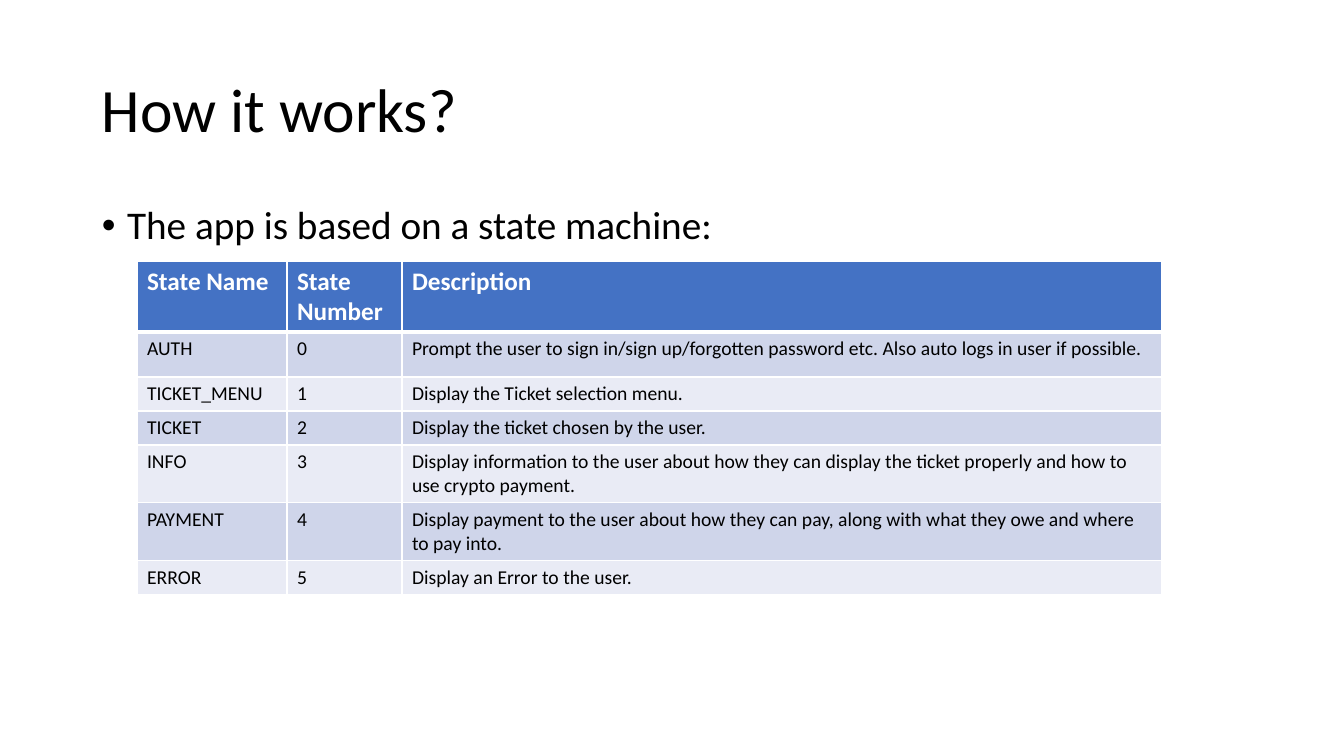
from lxml import etree
from pptx import Presentation
from pptx.dml.color import RGBColor
from pptx.enum.text import MSO_ANCHOR
from pptx.oxml.ns import qn
from pptx.util import Emu, Pt

EMU_PER_PX = 914400 / 100.8
FONT = "Calibri"
BLACK = RGBColor(0x00, 0x00, 0x00)
WHITE = RGBColor(0xFF, 0xFF, 0xFF)
HEADER_BLUE = RGBColor(0x44, 0x72, 0xC4)
BANDS = (RGBColor(0xCF, 0xD5, 0xEA), RGBColor(0xE9, 0xEB, 0xF5))

HEADINGS = ("State Name", "State Number", "Description")
STATES = (
    ("AUTH", "Prompt the user to sign in/sign up/forgotten password etc. "
             "Also auto logs in user if possible."),
    ("TICKET_MENU", "Display the Ticket selection menu."),
    ("TICKET", "Display the ticket chosen by the user."),
    ("INFO", "Display information to the user about how they can display "
             "the ticket properly and how to use crypto payment."),
    ("PAYMENT", "Display payment to the user about how they can pay, along "
                "with what they owe and where to pay into."),
    ("ERROR", "Display an Error to the user."),
)
COLUMN_WIDTHS = (150, 115, 760)
ROW_HEIGHTS = (71, 45, 34, 34, 58, 58, 34)


def px(length):
    """Turn pixels into EMU."""
    return Emu(round(length * EMU_PER_PX))


class SlideBuilder:
    """Holds the style and the current slide."""

    def __init__(self, slide, font=FONT):
        """Keep the slide and its font."""
        self.slide = slide
        self.font = font

    def styled_run(self, frame, text, size, color, bold=False):
        """Put one styled run into a text frame and return its paragraph."""
        paragraph = frame.paragraphs[0]
        run = paragraph.add_run()
        run.text = text
        run.font.name = self.font
        run.font.size = Pt(size)
        run.font.bold = bold
        run.font.color.rgb = color
        return paragraph

    def text(self, box, text, size, anchor=MSO_ANCHOR.TOP):
        """Add a wrapped text box and return its paragraph."""
        frame = self.slide.shapes.add_textbox(*map(px, box)).text_frame
        frame.word_wrap = True
        frame.vertical_anchor = anchor
        paragraph = self.styled_run(frame, text, size, BLACK)
        paragraph.line_spacing = 0.9
        return paragraph

    def bullet(self, box, text, size):
        """Add a text box with one bulleted paragraph."""
        paragraph = self.text(box, text, size)
        paragraph.space_before = Pt(10)
        properties = paragraph._p.get_or_add_pPr()
        properties.set("marL", "228600")
        properties.set("indent", "-228600")
        etree.SubElement(properties, qn("a:buFont")).set("typeface", "Arial")
        etree.SubElement(properties, qn("a:buChar")).set("char", "•")

    def borders(self, cell, top, bottom):
        """Draw white cell borders, with top and bottom widths in points."""
        properties = cell._tc.get_or_add_tcPr()
        widths = {"L": 1, "R": 1, "T": top, "B": bottom}
        for index, (side, width) in enumerate(widths.items()):
            line = etree.Element(qn(f"a:ln{side}"), w=str(int(Pt(width))))
            fill = etree.SubElement(line, qn("a:solidFill"))
            etree.SubElement(fill, qn("a:srgbClr")).set("val", str(WHITE))
            properties.insert(index, line)

    def table(self, left, top, widths, heights, rows):
        """Add a table with a header row and banded body rows."""
        box = (left, top, sum(widths), sum(heights))
        table = self.slide.shapes.add_table(
            len(rows), len(widths), *map(px, box)).table
        for column, width in zip(table.columns, widths):
            column.width = px(width)
        for r, (values, height) in enumerate(zip(rows, heights)):
            table.rows[r].height = px(height)
            header = r == 0
            for c, value in enumerate(values):
                cell = table.cell(r, c)
                cell.fill.solid()
                cell.fill.fore_color.rgb = (
                    HEADER_BLUE if header else BANDS[(r - 1) % 2])
                self.borders(cell, 3 if r == 1 else 1, 3 if header else 1)
                self.styled_run(cell.text_frame, value, 18 if header else 14,
                                WHITE if header else BLACK, header)


def main():
    """Build and save the state machine slide."""
    deck = Presentation()
    deck.slide_width, deck.slide_height = px(1344), px(756)
    builder = SlideBuilder(deck.slides.add_slide(deck.slide_layouts[6]))
    builder.text((92, 40, 1159, 146), "How it works?", 44, MSO_ANCHOR.MIDDLE)
    builder.bullet((92, 201, 1159, 480),
                   "The app is based on a state machine:", 28)
    states = [(name, str(number), description)
              for number, (name, description) in enumerate(STATES)]
    builder.table(137, 261, COLUMN_WIDTHS, ROW_HEIGHTS, [HEADINGS, *states])
    deck.save("out.pptx")


main()
